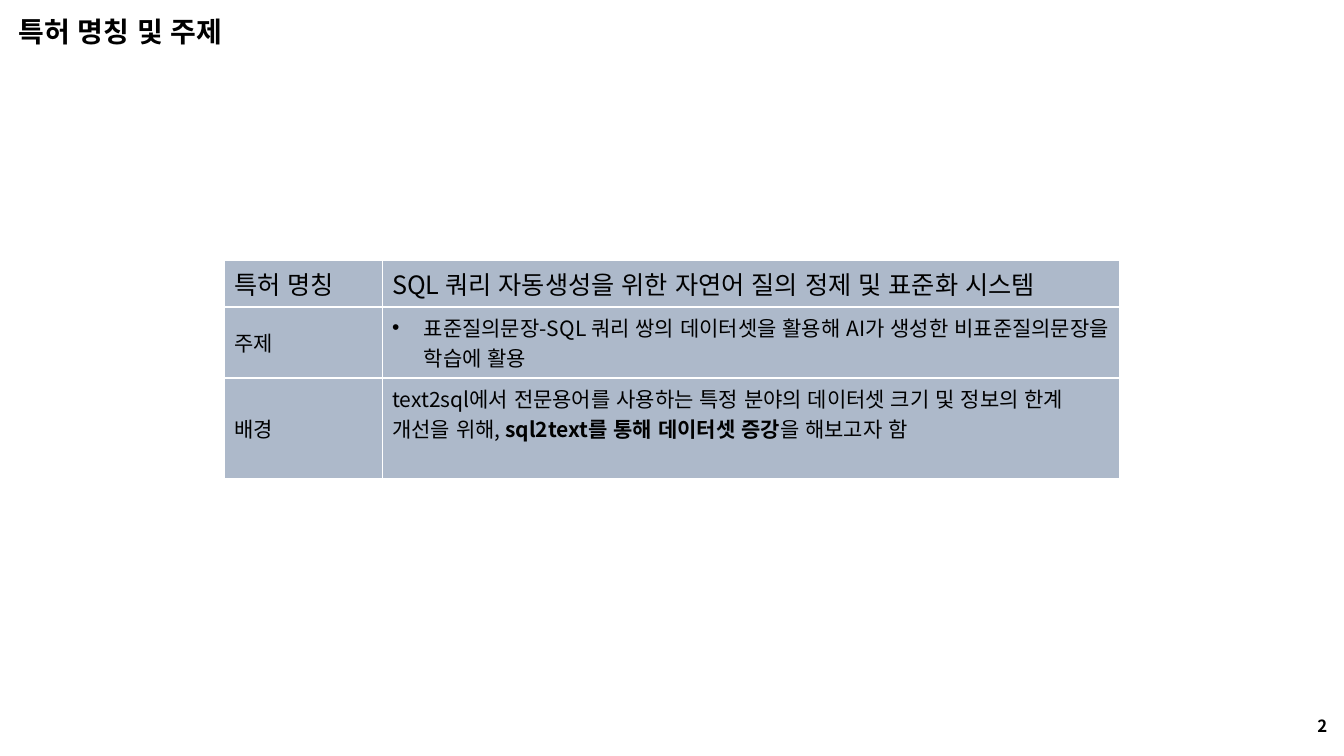
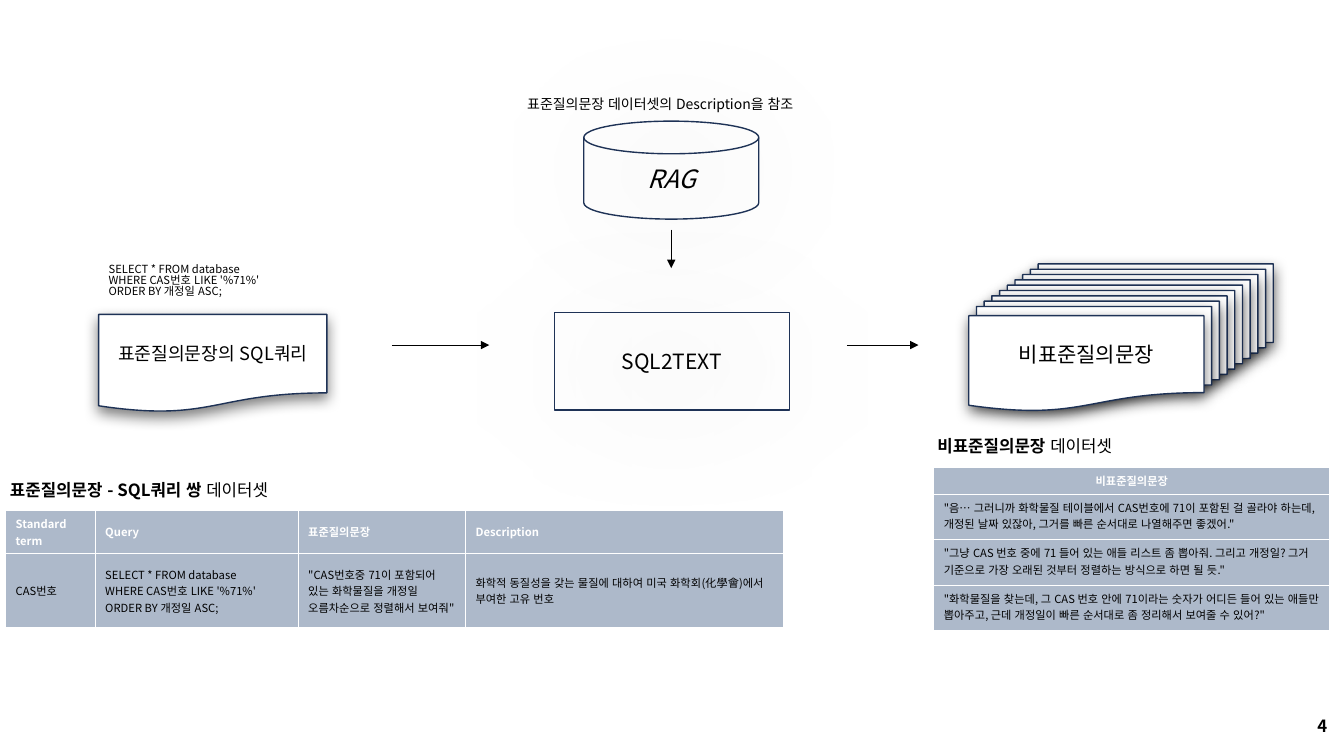
"""Build two slides on refining natural-language questions for SQL generation."""
from dataclasses import dataclass
from typing import Any, Optional

from lxml import etree
from pptx import Presentation, util as u
from pptx.dml import color as colors
from pptx.enum import lang, shapes, text
from pptx.oxml import ns


@dataclass(frozen=True)
class Theme:
    font: str = "Noto Sans CJK KR"
    ink: str = "000000"
    white: str = "FFFFFF"
    outline: str = "1E3256"
    cell: str = "ADB9CA"
    title: float = 20
    heading: float = 18
    body: float = 15
    document: float = 13
    label: float = 12
    caption: float = 10
    small: float = 8


@dataclass(frozen=True)
class Area:
    left: float
    top: float
    width: float
    height: float

    def lengths(self) -> tuple:
        return tuple(u.Pt(n) for n in (self.left, self.top, self.width, self.height))


@dataclass(frozen=True)
class Shadow:
    opacity: int
    blur: float
    distance: float = 4
    angle: int = 90


@dataclass(frozen=True)
class Node:
    kind: Any
    area: Area
    shadow: Shadow
    words: str = ""
    size: float = 15
    filled: bool = False
    italic: bool = False


@dataclass(frozen=True)
class Label:
    words: str
    area: Area
    size: float
    bold: bool = False
    spacing: float = 1.0


@dataclass(frozen=True)
class Arrow:
    x1: float
    y1: float
    x2: float
    y2: float


@dataclass(frozen=True)
class Cell:
    words: str
    size: float = 8
    color: str = "000000"
    bold: bool = False
    middle: bool = True
    centred: bool = False
    bullet: bool = False


THEME = Theme()
KIND = shapes.MSO_SHAPE
TIGHT = Shadow(opacity=50, blur=10)
HALO = Shadow(opacity=43, blur=100)
SQL = "SELECT * FROM database\nWHERE CAS번호 LIKE '%71%'\nORDER BY 개정일 ASC;"


def rgb(code: str) -> colors.RGBColor:
    return colors.RGBColor.from_string(code)


def child(parent: Any, tag: str, **attributes: Any) -> Any:
    return etree.SubElement(parent, ns.qn(tag), {k: str(v) for k, v in attributes.items()})


def write(frame: Any, words: str, *, size: float, color: str = THEME.ink,
          bold: bool = False, italic: bool = False, centred: bool = False,
          middle: bool = False, bullet: bool = False, spacing: float = 1.0) -> None:
    frame.word_wrap = True
    frame.vertical_anchor = text.MSO_ANCHOR.MIDDLE if middle else text.MSO_ANCHOR.TOP
    for number, line in enumerate(words.split("\n")):
        para = frame.add_paragraph() if number else frame.paragraphs[0]
        para.alignment = text.PP_ALIGN.CENTER if centred else text.PP_ALIGN.LEFT
        para.line_spacing = spacing
        if bullet:
            properties = para._p.get_or_add_pPr()
            indent = u.Pt(22.5)
            properties.set("marL", str(indent))
            properties.set("indent", str(-indent))
            child(properties, "a:buFont", typeface="Arial")
            child(properties, "a:buChar", char="•")
        for part, chunk in enumerate(line.split("**")):
            if not chunk:
                continue
            span = para.add_run()
            span.text = chunk
            font = span.font
            font.size, font.name = u.Pt(size), THEME.font
            font.bold, font.italic = bold or part % 2 == 1, italic
            font.color.rgb = rgb(color)
            font.language_id = lang.MSO_LANGUAGE_ID.KOREAN
            child(span._r.get_or_add_rPr(), "a:ea", typeface=THEME.font)


def add_label(page: Any, label: Label) -> None:
    box = page.shapes.add_textbox(*label.area.lengths())
    write(box.text_frame, label.words, size=label.size, bold=label.bold,
          spacing=label.spacing)


def add_page_number(page: Any, number: int) -> None:
    add_label(page, Label(str(number), Area(934, 507.5, 21.5, 21.5), THEME.label, bold=True))


def add_title(page: Any, words: str) -> None:
    title = page.shapes.title
    title.left, title.top, title.width, title.height = Area(6, 7, 205, 32).lengths()
    title.text_frame.auto_size = text.MSO_AUTO_SIZE.NONE
    write(title.text_frame, words, size=THEME.title, bold=True)


def add_node(page: Any, node: Node) -> None:
    shape = page.shapes.add_shape(node.kind, *node.area.lengths())
    if node.filled:
        shape.fill.solid()
        shape.fill.fore_color.rgb = rgb(THEME.white)
    else:
        shape.fill.background()
    shape.line.color.rgb = rgb(THEME.outline)
    shape.line.width = u.Pt(1)
    shape.shadow.inherit = False
    effects = shape._element.spPr.find(ns.qn("a:effectLst"))
    cast = child(effects, "a:outerShdw", blurRad=u.Pt(node.shadow.blur),
                 dist=u.Pt(node.shadow.distance), dir=node.shadow.angle * 60000,
                 algn="t", rotWithShape=0)
    tint = child(cast, "a:srgbClr", val=THEME.ink)
    child(tint, "a:alpha", val=node.shadow.opacity * 1000)
    if node.words:
        write(shape.text_frame, node.words, size=node.size, italic=node.italic,
              centred=True, middle=True)


def add_arrow(page: Any, arrow: Arrow) -> None:
    ends = (u.Pt(n) for n in (arrow.x1, arrow.y1, arrow.x2, arrow.y2))
    connector = page.shapes.add_connector(shapes.MSO_CONNECTOR.STRAIGHT, *ends)
    connector.line.color.rgb = rgb(THEME.ink)
    connector.line.width = u.Pt(0.5)
    child(connector.line._get_or_add_ln(), "a:tailEnd", type="triangle")
    child(connector._element.spPr, "a:effectLst")


def add_grid(page: Any, left: float, top: float, widths: list[float],
             heights: list[float], rows: list[list[Cell]]) -> None:
    area = Area(left, top, sum(widths), sum(heights))
    table = page.shapes.add_table(len(heights), len(widths), *area.lengths()).table
    for column, width in zip(table.columns, widths):
        column.width = u.Pt(width)
    for row, height, cells in zip(table.rows, heights, rows):
        row.height = u.Pt(height)
        for target, cell in zip(row.cells, cells):
            target.fill.solid()
            target.fill.fore_color.rgb = rgb(THEME.cell)
            write(target.text_frame, cell.words, size=cell.size, color=cell.color,
                  bold=cell.bold, centred=cell.centred, bullet=cell.bullet)
            target.vertical_anchor = (text.MSO_ANCHOR.MIDDLE if cell.middle
                                      else text.MSO_ANCHOR.TOP)


def header(words: str, centred: bool = False) -> Cell:
    return Cell(words, THEME.small, THEME.white, bold=True, centred=centred)


def build_subject(deck: Any) -> None:
    page = deck.slides.add_slide(deck.slide_layouts[5])
    rows = [
        [Cell("특허 명칭", THEME.heading, middle=False),
         Cell("SQL 쿼리 자동생성을 위한 자연어 질의 정제 및 표준화 시스템",
              THEME.heading, middle=False)],
        [Cell("주제", THEME.body),
         Cell("표준질의문장-SQL 쿼리 쌍의 데이터셋을 활용해 AI가 생성한 "
              "비표준질의문장을 학습에 활용", THEME.body, middle=False, bullet=True)],
        [Cell("배경", THEME.body),
         Cell("text2sql에서 전문용어를 사용하는 특정 분야의 데이터셋 크기 및 정보의 한계 "
              "개선을 위해, **sql2text를 통해 데이터셋 증강**을 해보고자 함",
              THEME.body, middle=False)],
    ]
    add_grid(page, 160, 186, [113, 527], [33, 50.5, 72], rows)
    add_page_number(page, 2)
    add_title(page, "특허 명칭 및 주제")


def build_flow(deck: Any) -> None:
    page = deck.slides.add_slide(deck.slide_layouts[6])
    pair_rows = [
        [header(name) for name in ("Standard term", "Query", "표준질의문장", "Description")],
        [Cell(words) for words in (
            "CAS번호", SQL,
            '"CAS번호중 71이 포함되어 있는 화학물질을 개정일 오름차순으로 정렬해서 보여줘"',
            "화학적 동질성을 갖는 물질에 대하여 미국 화학회(化學會)에서 부여한 고유 번호")],
    ]
    add_grid(page, 4, 364.5, [64, 145, 119.5, 227], [31, 53], pair_rows)

    questions = (
        '"음… 그러니까 화학물질 테이블에서 CAS번호에 71이 포함된 걸 골라야 하는데, '
        '개정된 날짜 있잖아, 그거를 빠른 순서대로 나열해주면 좋겠어."',
        '"그냥 CAS 번호 중에 71 들어 있는 애들 리스트 좀 뽑아줘. 그리고 개정일? '
        '그거 기준으로 가장 오래된 것부터 정렬하는 방식으로 하면 될 듯."',
        '"화학물질을 찾는데, 그 CAS 번호 안에 71이라는 숫자가 어디든 들어 있는 애들만 '
        '뽑아주고, 근데 개정일이 빠른 순서대로 좀 정리해서 보여줄 수 있어?"',
    )
    question_rows = [[header("비표준질의문장", centred=True)]]
    question_rows += [[Cell(words, middle=False)] for words in questions]
    add_grid(page, 667, 334, [283], [19] + [32.5] * 3, question_rows)

    document = KIND.FLOWCHART_DOCUMENT
    nodes = [
        Node(document, Area(70.5, 224.5, 163, 70), TIGHT, "표준질의문장의 SQL쿼리",
             THEME.document, filled=True),
        Node(KIND.FLOWCHART_MAGNETIC_DISK, Area(417, 86.5, 125, 70), HALO, "RAG",
             THEME.heading, italic=True),
        Node(KIND.RECTANGLE, Area(396, 223, 168, 70), HALO, "SQL2TEXT", THEME.body),
    ]
    nodes += [Node(document, Area(741.5 - 5.5 * step, 188.5 + 3.8 * step, 168, 70),
                   TIGHT, filled=True) for step in range(9)]
    nodes.append(Node(document, Area(692, 225.5, 168, 68.5), TIGHT, "비표준질의문장",
                      THEME.body, filled=True))
    for node in nodes:
        add_node(page, node)

    for arrow in (Arrow(280, 246.5, 349.5, 246.5), Arrow(479.5, 164, 479.5, 191.5),
                  Arrow(605, 246.5, 656, 246.5)):
        add_arrow(page, arrow)

    for label in (
        Label("**표준질의문장 - SQL쿼리 쌍** 데이터셋", Area(0, 339, 217, 22), THEME.label),
        Label("표준질의문장 데이터셋의 Description을 참조", Area(369.5, 65, 220, 19.5),
              THEME.caption),
        Label(SQL, Area(70.5, 185, 126, 36), THEME.small, spacing=0.85),
        Label("**비표준질의문장 **데이터셋", Area(662.5, 308, 152, 22), THEME.label),
    ):
        add_label(page, label)
    add_page_number(page, 4)


def main() -> None:
    deck = Presentation()
    deck.slide_width, deck.slide_height = u.Pt(960), u.Pt(540)
    build_subject(deck)
    build_flow(deck)
    deck.save("out.pptx")


if __name__ == "__main__":
    main()
